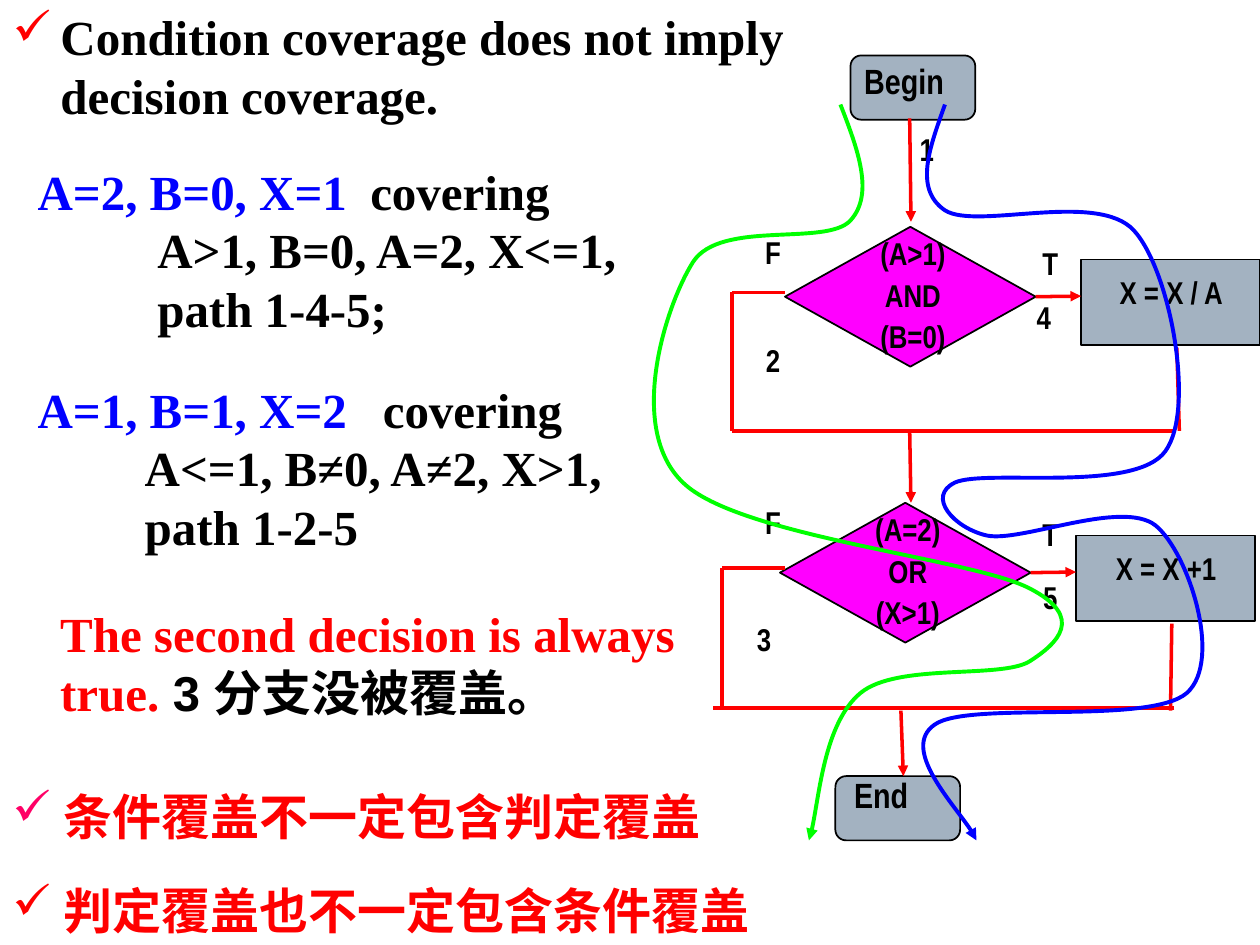
from pptx import Presentation
from pptx.dml.color import RGBColor
from pptx.enum.shapes import MSO_CONNECTOR, MSO_SHAPE
from pptx.enum.text import MSO_ANCHOR, MSO_AUTO_SIZE, PP_ALIGN
from pptx.oxml.xmlchemy import OxmlElement
from pptx.util import Inches, Pt

COLORS = {"black": "000000", "red": "FF0000", "blue": "0000FF", "green": "00FF00",
          "pink": "FF0066", "decision": "FF00FF", "step": "A3B2C1"}
SERIF, SANS, NARROW = "Times New Roman", "Arial", "Arial Narrow"
CELL = Inches(0.1)  # the slide is a grid of 100 columns and 75 rows


def grid(*cells):
    return [round(cell * CELL) for cell in cells]


def rgb(name):
    return RGBColor.from_string(COLORS[name])


def add_child(parent, tag, **attributes):
    child = OxmlElement(tag)
    for name, value in attributes.items():
        child.set(name, str(value))
    parent.append(child)
    return child


def prepare(box):
    frame = box.text_frame
    frame.word_wrap = True
    frame.auto_size = MSO_AUTO_SIZE.NONE
    frame.vertical_anchor = MSO_ANCHOR.TOP
    return frame


def add_text(page, place):
    return prepare(page.shapes.add_textbox(*grid(*place)))


def write(para, *spans, size=28):
    """Fill a paragraph with (text, colour, font) spans."""
    for text, color, font in spans:
        span = para.add_run()
        span.text = text
        span.font.size, span.font.bold, span.font.name = Pt(size), True, font
        span.font.color.rgb = rgb(color)


def indent(para, margin, bullet=None):
    """Indent a paragraph, hanging a tick of the given colour if any."""
    settings = para._p.get_or_add_pPr()
    left = grid(margin)[0]
    settings.set("marL", str(left))
    settings.set("indent", str(-left if bullet else 0))
    if bullet:
        color = add_child(settings, "a:buClr")
        add_child(color, "a:srgbClr", val=COLORS[bullet])
        add_child(settings, "a:buChar", char="✓")


def add_label(page, place, *lines, size=18, align=PP_ALIGN.CENTER):
    frame = add_text(page, place)
    for number, line in enumerate(lines):
        para = frame.add_paragraph() if number else frame.paragraphs[0]
        para.alignment, para.space_after = align, Pt(2)
        write(para, (line, "black", NARROW), size=size)


def add_case(page, top, values, tab, margin, details):
    """A test case: its input values, then what they cover."""
    frame = add_text(page, (2, top, 49.9, 15))
    para = frame.paragraphs[0]
    write(para, (values, "blue", SERIF), ("\tcovering", "black", SERIF))
    stops = add_child(para._p.get_or_add_pPr(), "a:tabLst")
    add_child(stops, "a:tab", pos=grid(tab)[0], algn="l")
    for detail in details:
        para = frame.add_paragraph()
        indent(para, margin)
        write(para, (detail, "black", SERIF))


def add_block(page, kind, place, fill):
    block = page.shapes.add_shape(kind, *grid(*place))
    block.shadow.inherit = False
    block.fill.solid()
    block.fill.fore_color.rgb = rgb(fill)
    block.line.color.rgb = rgb("black")
    block.line.width = Pt(1)
    return block


def style_line(shape, color, width, arrow):
    shape.line.color.rgb = rgb(color)
    shape.line.width = Pt(width)
    if arrow:
        add_child(shape.line._get_or_add_ln(), "a:tailEnd", type="triangle")


def add_flow(page, start, end, arrow=False):
    flow = page.shapes.add_connector(MSO_CONNECTOR.STRAIGHT, *grid(*start, *end))
    style_line(flow, "red", 2, arrow)
    add_child(flow._element.spPr, "a:effectLst")
    return flow


def add_curve(page, points, color):
    """Draw a Bezier curve: a start, then two handles and an end per piece."""
    start, *others = [grid(*point) for point in points]
    builder = page.shapes.build_freeform(*start)
    builder.add_line_segments(others, close=False)
    curve = builder.convert_to_shape()
    lines = curve._element.xpath(".//a:lnTo")
    for first in range(0, len(lines), 3):
        piece = OxmlElement("a:cubicBezTo")
        lines[first].addprevious(piece)
        for line in lines[first:first + 3]:
            piece.append(line[0])
            line.getparent().remove(line)
    curve.shadow.inherit = False
    curve.fill.background()
    style_line(curve, color, 2.25, True)


def add_decision(page, left, top, condition, step):
    """A diamond with the step on its true side."""
    diamond = add_block(page, MSO_SHAPE.FLOWCHART_DECISION, (left, top, 19.9, 11.1), "decision")
    add_block(page, MSO_SHAPE.FLOWCHART_PROCESS, (left + 23.5, top + 2.6, 14.2, 6.8), "step")
    middle = top + 5.5
    flow = add_flow(page, (left + 19.9, middle), (left + 23.5, middle), True)
    flow.begin_connect(diamond, 3)
    add_label(page, (left + 3.4, top + 0.1, 13.5, 10.9), *condition)
    add_label(page, (left + 23.9, top + 3.2, 13.5, 4), step)


def add_terminal(page, left, top, text, text_place):
    add_block(page, MSO_SHAPE.FLOWCHART_ALTERNATE_PROCESS, (left, top, 9.9, 5.1), "step")
    add_label(page, (*text_place, 11, 4.3), text, size=20, align=PP_ALIGN.LEFT)


def add_flowchart(page):
    # Blocks
    add_terminal(page, 67.5, 4.4, "Begin", (67.6, 4.2))
    add_terminal(page, 66.3, 61.6, "End", (66.8, 60.9))
    add_decision(page, 62.3, 18, ("(A>1)", "AND", "(B=0)"), "X = X / A")
    add_decision(page, 61.9, 39.9, ("(A=2)", "OR", "(X>1)"), "X = X +1")

    # Arrows down the middle
    for start, end in (((72.2, 9.4), (72.3, 17.6)), ((72.2, 34.2), (72.3, 39.9)),
                       ((71.5, 56.4), (71.7, 61.6))):
        add_flow(page, start, end, True)

    # False branches and the lines where both branches meet
    for left, top, bottom, bar_left, step_end in (
            (58.1, 23.2, 34.2, 58.1, ((93.4, 27.6), (93.6, 34.2))),
            (57.3, 45.1, 56.2, 56.6, ((93, 49.5), (92.9, 56.4)))):
        add_flow(page, (62.3, top), (left, top))
        add_flow(page, (left, top), (left, bottom))
        add_flow(page, (93.2, bottom), (bar_left, bottom))
        add_flow(page, *step_end)

    # Branch numbers and truth values
    for text, left, top in (("1", 71, 9.8), ("2", 58.8, 26.6), ("3", 58.1, 48.7),
                            ("4", 80.3, 23.2), ("5", 80.8, 45.4), ("T", 80.8, 18.9),
                            ("T", 80.8, 40.4), ("F", 58.8, 18), ("F", 58.8, 39.4)):
        add_label(page, (left, top, 5.1, 4), text)

    # Routes taken by the two test cases
    add_curve(page, (
        (75, 8.3), (73.8, 11.7), (72.5, 15), (75, 16.7), (77.5, 18.3), (87.1, 15.1),
        (90, 18.3), (92.9, 21.5), (94.9, 32.5), (92.5, 35.8), (90.1, 39.2), (78.2, 37.2),
        (75.8, 38.3), (73.5, 39.4), (75.7, 41.9), (78.3, 42.5), (81, 43.1), (89, 39.6),
        (91.7, 41.7), (94.3, 43.8), (97.1, 52.4), (94.2, 55), (91.2, 57.6), (76.9, 55.6),
        (74.2, 57.5), (71.4, 59.4), (76.9, 65.1), (77.5, 66.7)), "blue")
    add_curve(page, (
        (66.7, 8.3), (68.1, 11.9), (69.4, 15.4), (67.5, 17.5), (65.6, 19.6), (57.2, 17.4),
        (55, 20.8), (52.8, 24.3), (49.7, 34), (54.2, 38.3), (58.6, 42.6), (77.1, 44.3),
        (81.7, 46.7), (86.2, 49), (83.9, 51.1), (81.7, 52.5), (79.4, 53.9), (71.2, 52.6),
        (68.3, 55), (65.4, 57.4), (64.9, 64.7), (64.2, 66.7)), "green")


def add_statements(page):
    # Heading
    title = page.shapes.title
    title.left, title.top, title.width, title.height = grid(0, 0, 63.4, 10.3)
    para = prepare(title).paragraphs[0]
    para.alignment, para.line_spacing, para.space_before = PP_ALIGN.LEFT, 1.0, Pt(0)
    indent(para, 3.8, "red")
    write(para, ("Condition coverage does not imply decision coverage.", "black", SERIF))

    # Test cases
    add_case(page, 12.3, "A=2, B=0, X=1", 26.4, 9.5, ("A>1, B=0, A=2, X<=1,", "path 1-4-5;"))
    add_case(page, 29.6, "A=1, B=1, X=2", 27.4, 8.5, ("A<=1, B≠0, A≠2, X>1,", "path 1-2-5"))

    # Finding
    para = add_text(page, (0, 47.4, 57.7, 10.5)).paragraphs[0]
    indent(para, 3.8)
    write(para, ("The second decision is always true.", "red", SERIF),
          (" 3 分支没被覆盖。", "black", SANS))

    # Conclusions
    frame = add_text(page, (0, 59.1, 63.3, 15.9))
    frame.add_paragraph()
    conclusions = (("条件覆盖不一定包含判定覆盖", "pink"), ("判定覆盖也不一定包含条件覆盖", "red"))
    for para, (text, tick) in zip(frame.paragraphs, conclusions):
        para.line_spacing = 1.6
        indent(para, 4.1, tick)
        write(para, (text, "red", SERIF))


def main():
    deck = Presentation()
    deck.slide_width, deck.slide_height = grid(100, 75)
    page = deck.slides.add_slide(deck.slide_layouts[5])
    add_flowchart(page)
    add_statements(page)
    deck.save("out.pptx")


if __name__ == "__main__":
    main()
